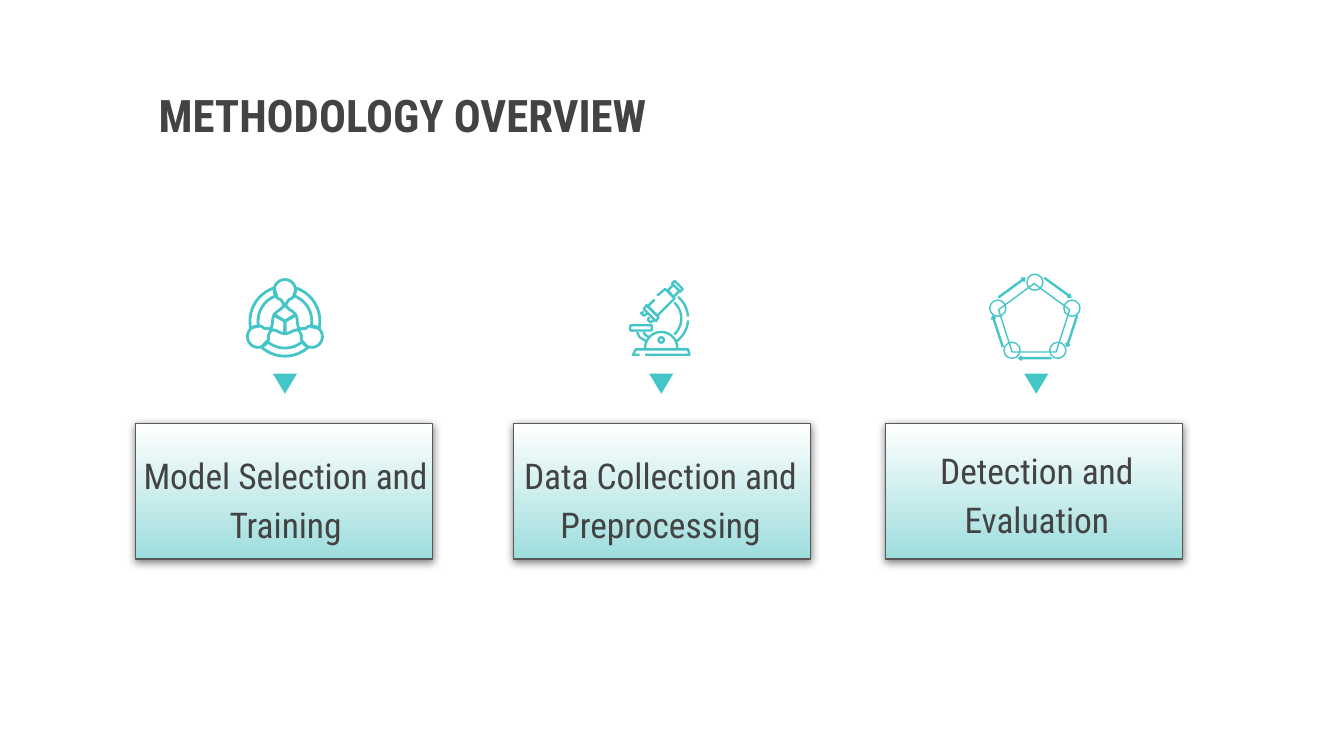
"""Builds a methodology overview slide with three illustrated steps."""
from math import cos, radians, sin

from lxml import etree
from pptx import Presentation
from pptx.dml.color import RGBColor
from pptx.enum.shapes import MSO_SHAPE
from pptx.enum.text import MSO_ANCHOR, MSO_AUTO_SIZE, PP_ALIGN
from pptx.oxml import parse_xml
from pptx.oxml.ns import nsdecls, qn
from pptx.util import Inches, Pt

TRIANGLE = MSO_SHAPE.ISOSCELES_TRIANGLE
RECTANGLE = MSO_SHAPE.RECTANGLE
ROUNDED = MSO_SHAPE.ROUNDED_RECTANGLE
OVAL = MSO_SHAPE.OVAL
PENTAGON = MSO_SHAPE.REGULAR_PENTAGON
ARROW = MSO_SHAPE.RIGHT_ARROW
MIDDLE = MSO_ANCHOR.MIDDLE
NO_AUTOFIT = MSO_AUTO_SIZE.NONE
LEFT, CENTER = PP_ALIGN.LEFT, PP_ALIGN.CENTER

TEAL = RGBColor(0x44, 0xC5, 0xC8)
PALE_TEAL = RGBColor(0x9E, 0xDD, 0xDD)
WHITE = RGBColor(0xFF, 0xFF, 0xFF)
SLATE = RGBColor(0x66, 0x7E, 0x92)
BORDER = RGBColor(0x59, 0x59, 0x59)
INK = RGBColor(0x43, 0x43, 0x43)
FONT = "Roboto Condensed"

SLIDE_WIDTH = 10
STEPS = [
    ("Model Selection and Training", 2.03, 1.01, 0.92, 3.52),
    ("Data Collection and Preprocessing", 4.83, 3.82, 3.71, 3.52),
    ("Detection and Evaluation", 7.62, 6.59, 6.51, 3.48),
]

MICROSCOPE_OUTLINES = [
    [(5.02, 2.09), (5.08, 2.15), (5.06, 2.17), (5, 2.11)],
    [(4.81, 2.27), (4.9, 2.36), (4.88, 2.39), (4.79, 2.3)],
]
MICROSCOPE_STROKES = [
    [(5.01, 2.12), (4.97, 2.16), (5.01, 2.21), (5.05, 2.17)],
    [(4.89, 2.2), (4.95, 2.15), (5.02, 2.22), (4.89, 2.35), (4.82, 2.28), (4.87, 2.23)],
    [(4.79, 2.32), (4.77, 2.33), (4.79, 2.35), (4.82, 2.33)],
    [(4.83, 2.36), (4.82, 2.38), (4.84, 2.4), (4.87, 2.38)],
    [(4.74, 2.47), (4.76, 2.51), (4.81, 2.54)],
    [(4.79, 2.47), (4.8, 2.49), (4.83, 2.51)],
    [(4.8, 2.64), (5.13, 2.64), (5.12, 2.6), (4.73, 2.6), (4.71, 2.64), (4.76, 2.64)],
]


def arc(center_x, center_y, radius, start, end, steps=20):
    """Return points along a circular arc given in clockwise degrees."""
    angles = [radians(start + (end - start) * i / steps) for i in range(steps + 1)]
    return [(center_x + radius * cos(a), center_y + radius * sin(a)) for a in angles]


def turn(points, center_x, center_y, degrees):
    """Turn points about the origin and move them to a center."""
    c, s = cos(radians(degrees)), sin(radians(degrees))
    return [(center_x + x * c - y * s, center_y + x * s + y * c) for x, y in points]


def add_stroke(slide, points, weight, closed=False):
    """Draw an unfilled teal outline through the points."""
    corners = [(Inches(x), Inches(y)) for x, y in points]
    builder = slide.shapes.build_freeform(*corners[0])
    builder.add_line_segments(corners[1:], close=closed)
    stroke = builder.convert_to_shape()
    stroke.shadow.inherit = False
    stroke.fill.background()
    stroke.line.color.rgb = TEAL
    stroke.line.width = Pt(weight)


def add_preset(slide, kind, box, fill=None, line=None, weight=0.75, rotation=0):
    """Add a preset shape with plain fill and line."""
    preset = slide.shapes.add_shape(kind, *map(Inches, box))
    preset.shadow.inherit = False
    preset.rotation = rotation
    if fill is None:
        preset.fill.background()
    else:
        preset.fill.solid()
        preset.fill.fore_color.rgb = fill
    if line is None:
        preset.line.fill.background()
    else:
        preset.line.color.rgb = line
        preset.line.width = Pt(weight)
    return preset


def add_circle(slide, center_x, center_y, radius, weight):
    """Add an unfilled teal circle about a center."""
    box = (center_x - radius, center_y - radius, 2 * radius, 2 * radius)
    add_preset(slide, OVAL, box, line=TEAL, weight=weight)


def write_text(frame, text, size, align, bold=False):
    """Write one formatted run into a vertically centered frame."""
    frame.word_wrap = True
    frame.auto_size = NO_AUTOFIT
    frame.vertical_anchor = MIDDLE
    frame.margin_left = frame.margin_right = Inches(0.1)
    frame.margin_top = frame.margin_bottom = Inches(0.1)
    paragraph = frame.paragraphs[0]
    paragraph.alignment = align
    run = paragraph.add_run()
    run.text = text
    run.font.name = FONT
    run.font.size = Pt(size)
    run.font.bold = bold
    run.font.color.rgb = INK
    return paragraph


def add_title(slide, text):
    """Place and fill the title placeholder."""
    title = slide.shapes.title
    title.left, title.top = Inches(1.08), Inches(0.59)
    title.width, title.height = Inches(7.83), Inches(0.52)
    write_text(title.text_frame, text, 24, LEFT, bold=True)


def add_card(slide, left):
    """Add a gradient card with a soft shadow below it."""
    card = add_preset(slide, RECTANGLE, (left, 3.15, 2.21, 1.01), WHITE, BORDER)
    card.fill.gradient()
    card.fill.gradient_angle = 270
    for stop, position, color in zip(card.fill.gradient_stops, (0, 1), (WHITE, PALE_TEAL)):
        stop.position = position
        stop.color.rgb = color
    effects = card._element.spPr.find(qn("a:effectLst"))
    shadow = parse_xml(
        f'<a:outerShdw {nsdecls("a")} blurRad="{Pt(4.5)}" dist="{Pt(1.5)}" '
        'dir="5400000" algn="bl" rotWithShape="0"/>')
    black = etree.SubElement(shadow, qn("a:srgbClr"), val="000000")
    etree.SubElement(black, qn("a:alpha"), val="50000")
    effects.append(shadow)


def add_label(slide, text, left, top):
    """Add the centered caption of a step."""
    label = slide.shapes.add_textbox(Inches(left), Inches(top), Inches(2.41), Inches(0.35))
    write_text(label.text_frame, text, 19, CENTER).line_spacing = 1.15


def add_model_icon(slide, center_x, center_y):
    """Draw three lobes around a cube, linked by ring bands."""
    band = arc(0, 0, 0.26, -71, 12) + arc(0, 0, 0.2, 12, -71)
    right_side = [(0.08, -0.05), (0.06, -0.07), (0.03, -0.09), (0.01, -0.11),
                  (0.01, -0.13), (0.03, -0.16)]
    left_side = [(-x, y) for x, y in reversed(right_side)]
    lobe = [(0, 0)] + right_side + arc(0, -0.23, 0.08, 50, -230) + left_side
    for degrees in (0, 120, 240):
        for outline in (band, lobe):
            add_stroke(slide, turn(outline, center_x, center_y, degrees), 1.5, closed=True)


def add_microscope_icon(slide):
    """Draw the microscope from outlines, strokes and arcs."""
    arcs = [arc(4.92, 2.59, 0.12, 180, 360), arc(4.91, 2.37, 0.16, -48, 48),
            arc(4.91, 2.37, 0.21, -50, -4), arc(4.91, 2.37, 0.21, 4, 54)]
    for points in MICROSCOPE_OUTLINES:
        add_stroke(slide, points, 1.25, closed=True)
    for points in MICROSCOPE_STROKES + arcs:
        add_stroke(slide, points, 1.25)
    add_preset(slide, ROUNDED, (4.69, 2.42, 0.16, 0.04), line=TEAL, weight=1.25)
    add_circle(slide, 4.92, 2.53, 0.02, 1.25)


def add_cycle_icon(slide, center_x, center_y):
    """Draw a pentagon with a node at each corner and an arrow along each side."""
    add_preset(slide, PENTAGON, (center_x - 0.27, 2.11, 0.53, 0.51), line=TEAL)
    for side in range(5):
        corner = radians(72 * side - 90)
        add_circle(slide, center_x + 0.29 * cos(corner), center_y + 0.28 * sin(corner), 0.06, 0.75)
        heading = 72 * side + 36
        middle = radians(heading - 90)
        box = (center_x + 0.29 * cos(middle) - 0.12, center_y + 0.29 * sin(middle) - 0.02, 0.24, 0.03)
        arrow = add_preset(slide, ARROW, box, SLATE, TEAL, rotation=heading)
        arrow.adjustments[0], arrow.adjustments[1] = 0.26, 0.64


def main():
    """Build and save the slide."""
    deck = Presentation()
    deck.slide_width, deck.slide_height = Inches(SLIDE_WIDTH), Inches(SLIDE_WIDTH * 9 / 16)
    slide = deck.slides.add_slide(deck.slide_layouts[5])
    add_title(slide, "METHODOLOGY OVERVIEW")
    for text, pointer_left, card_left, label_left, label_top in STEPS:
        add_preset(slide, TRIANGLE, (pointer_left, 2.78, 0.18, 0.15), TEAL, rotation=180)
        add_card(slide, card_left)
        add_label(slide, text, label_left, label_top)
    add_model_icon(slide, 2.12, 2.39)
    add_microscope_icon(slide)
    add_cycle_icon(slide, 7.7, 2.38)
    deck.save("out.pptx")


if __name__ == "__main__":
    main()
